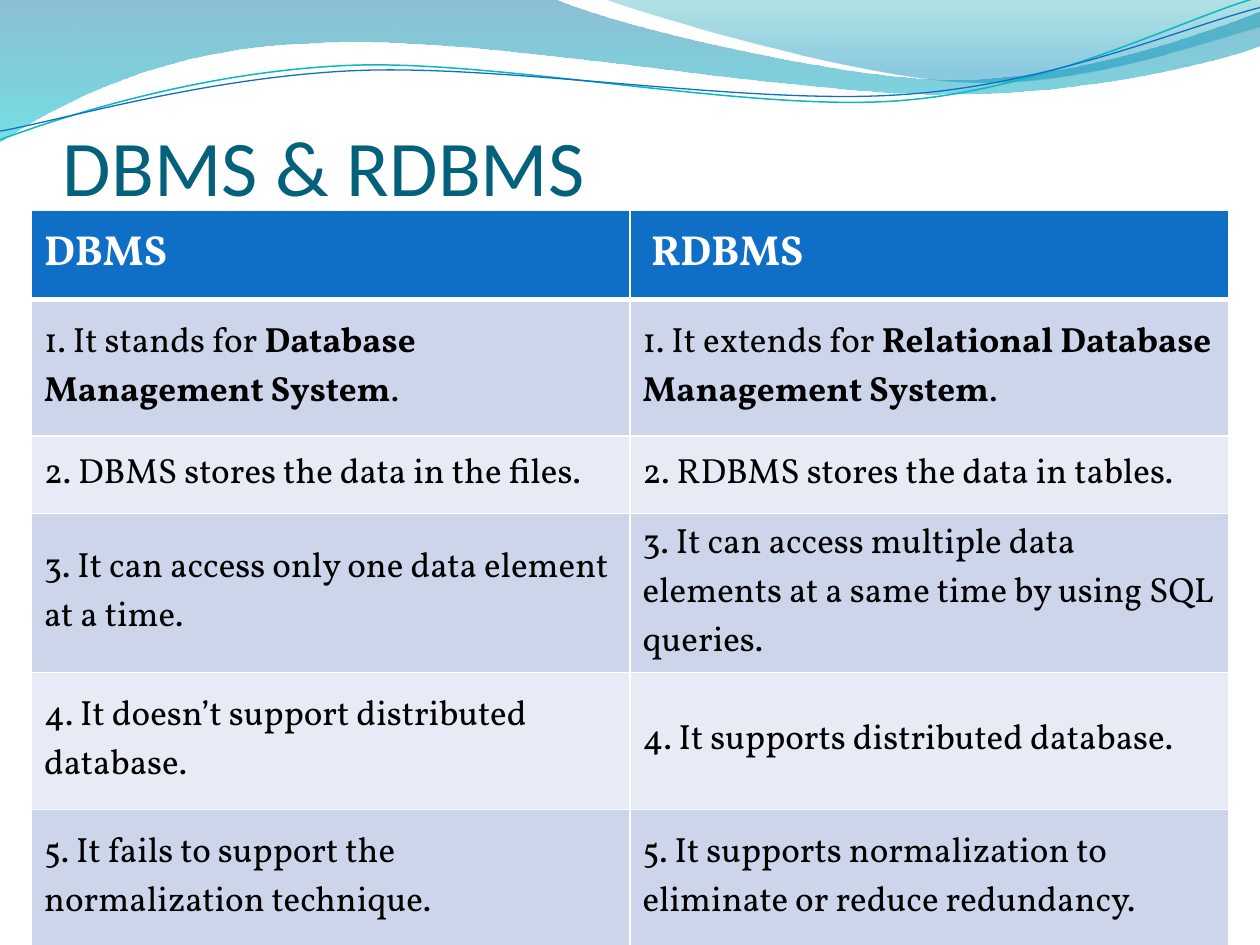
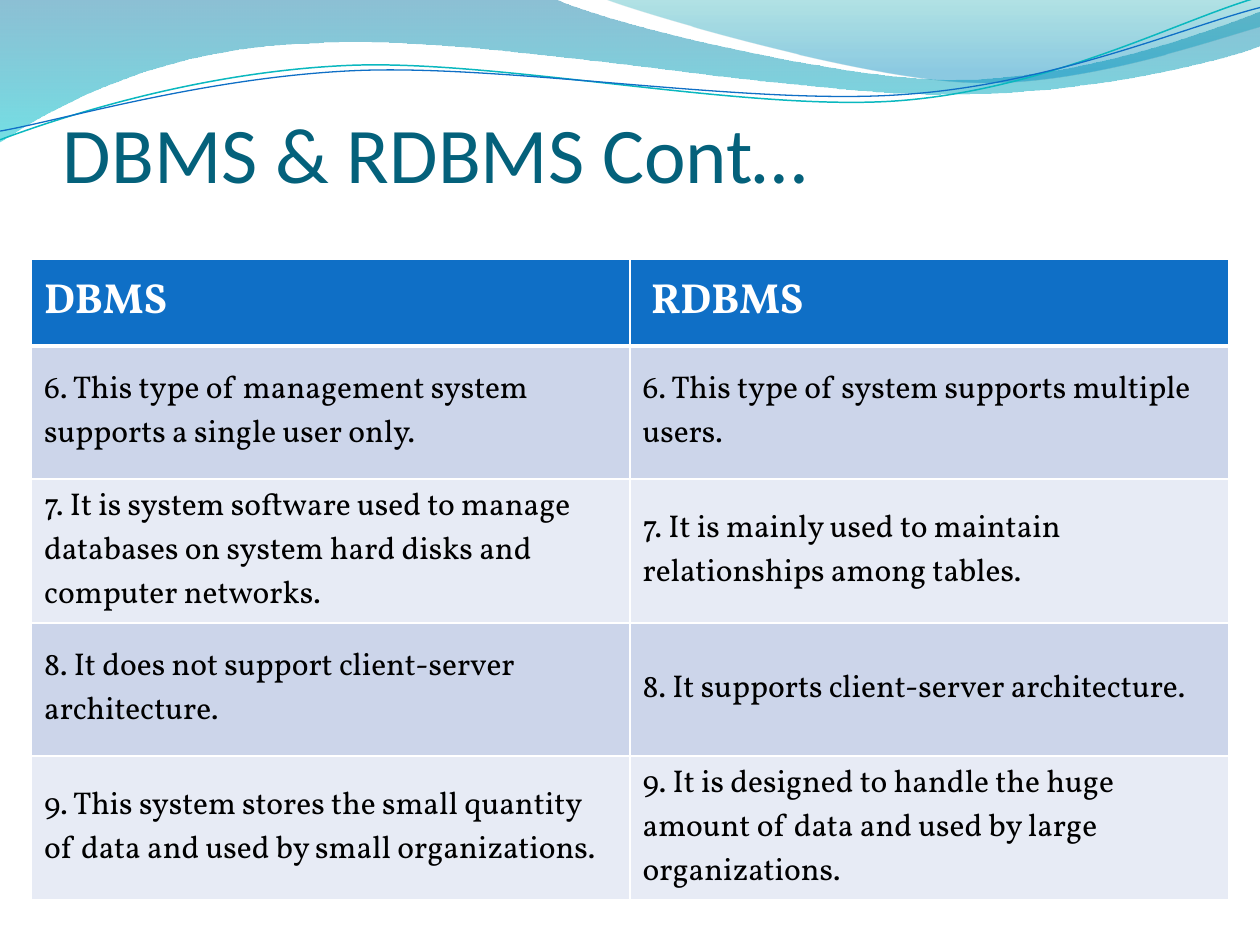
from lxml import etree
from pptx import Presentation
from pptx.dml.color import RGBColor
from pptx.enum.text import MSO_ANCHOR
from pptx.oxml.ns import qn
from pptx.util import Pt

MIDDLE, BOTTOM = MSO_ANCHOR.MIDDLE, MSO_ANCHOR.BOTTOM
COLORS = {
    "title": "04617B", "header": "0F6FC6", "odd": "CCD5EA", "even": "E7EBF5",
    "white": "FFFFFF", "text": "000000", "teal": "0AB8BF", "blue": "0F6FC6",
    "wave_top": "0074A1", "wave_end": "00C6CF",
    "crest_top": "00A1A9", "crest_end": "008BBF",
}

# Outlines in points: a pair is a straight step, six numbers a Bezier step.
# Bands have gradient stops (colour, position, opacity); strands a colour and width.
WAVES = [
    {"start": (0, 0),
     "steps": [(316.8, -0.7),
               (342.7, 12.2, 478.1, 45.4, 545.8, 45.4),
               (614.2, 45.4, 689.8, 18.7, 720, 6.5),
               (720.7, 25.9),
               (707.8, 31.7, 626.4, 54.7, 537.1, 54),
               (447.8, 54, 275, 20.2, 185, 24.5),
               (92.9, 25.9, 33.1, 59.8, -0.7, 81.4)],
     "stops": [("wave_top", 0, 45), ("wave_end", 1, 55)]},
    {"start": (344.9, -0.7),
     "steps": [(366.5, 7.9, 491, 44.6, 553.7, 46.8),
               (616.3, 49.7, 691.9, 23, 720, 15.1),
               (720, 0)],
     "stops": [("crest_top", 0, 30), ("crest_end", 0.8, 45)]},
    {"start": (0, 79.9),
     "steps": [(34.6, 67, 113.8, 41, 199.4, 37.4),
               (284.4, 33.8, 427, 64.1, 513.4, 57.6),
               (599.8, 51.1, 675.4, 10.8, 718.6, -1.4)],
     "line": ("teal", 0.85)},
    {"start": (0, 74.9),
     "steps": [(33.8, 69.1, 118.1, 43.9, 203.8, 40.3),
               (290.2, 36.7, 429.8, 60.5, 516.2, 54),
               (601.9, 48.2, 677.5, 15.1, 720, 4.3)],
     "line": ("blue", 0.75)},
]

HEADER = ("DBMS", " RDBMS")
SLIDES = [
    {"title": "DBMS & RDBMS", "title_top": 60, "table_top": 120.2, "size": 20,
     "heights": [51, 78, 44.4, 90.6, 78.4, 78.4],
     "rows": [
         ("1. It stands for **Database Management System**.",
          "1. It extends for **Relational Database Management System**."),
         ("2. DBMS stores the data in the files.",
          "2. RDBMS stores the data in tables."),
         ("3. It can access only one data element at a time.",
          "3. It can access multiple data elements at a same time by using SQL queries."),
         ("4. It doesn’t support distributed database.",
          "4. It supports distributed database."),
         ("5. It fails to support the normalization technique.",
          "5. It supports normalization to eliminate or reduce redundancy."),
     ]},
    {"title": "DBMS & RDBMS Cont…", "title_top": 52.6, "table_top": 148.3, "size": 18,
     "heights": [49.5, 76, 82.3, 76, 82.3],
     "rows": [
         ("6. This type of management system supports a single user only.",
          "6. This type of system supports multiple users."),
         ("7. It is system software used to manage databases on system hard disks "
          "and computer networks.",
          "7. It is mainly used to maintain relationships among tables."),
         ("8. It does not support client-server architecture.",
          "8. It supports client-server architecture."),
         ("9. This system stores the small quantity of data and used by small organizations.",
          "9. It is designed to handle the huge amount of data and used by large "
          "organizations."),
     ]},
]


def write_text(tf, text, font="Vollkorn", size=20, color="text", bold=False):
    """Fill the first paragraph; parts between ** marks become bold."""
    p = tf.paragraphs[0]
    for i, part in enumerate(text.split("**")):
        r = p.add_run()
        r.text = part
        r.font.name = font
        r.font.size = Pt(size)
        r.font.bold = bold or i % 2 == 1
        r.font.color.rgb = RGBColor.from_string(COLORS[color])


def add_outline(slide, start, steps, close):
    """Draw a freeform, merging the three points of each Bezier step into one curve."""
    points = [(Pt(x), Pt(y)) for step in steps for x, y in zip(step[::2], step[1::2])]
    builder = slide.shapes.build_freeform(Pt(start[0]), Pt(start[1]))
    builder.add_line_segments(points, close=close)
    sp = builder.convert_to_shape()
    segments = iter(list(sp._element.spPr.iter(qn("a:lnTo"))))
    for step in steps:
        first = next(segments)
        if len(step) == 6:
            first.tag = qn("a:cubicBezTo")
            for _ in range(2):
                extra = next(segments)
                first.append(extra[0])
                extra.getparent().remove(extra)
    sp.shadow.inherit = False
    return sp


prs = Presentation()
prs.slide_width, prs.slide_height = Pt(720), Pt(540)

for content in SLIDES:
    slide = prs.slides.add_slide(prs.slide_layouts[6])

    # Waves along the top edge
    for wave in WAVES:
        sp = add_outline(slide, wave["start"], wave["steps"], close="stops" in wave)
        if "stops" in wave:
            sp.line.fill.background()
            sp.fill.gradient()
            sp.fill.gradient_angle = 270
            for stop, (color, position, _) in zip(sp.fill.gradient_stops, wave["stops"]):
                stop.color.rgb = RGBColor.from_string(COLORS[color])
                stop.position = position
            colors = sp._element.spPr.iter(qn("a:srgbClr"))
            for clr, (_, _, opacity) in zip(colors, wave["stops"]):
                etree.SubElement(clr, qn("a:alpha"), val=str(opacity * 1000))
        else:
            color, width = wave["line"]
            sp.fill.background()
            sp.line.color.rgb = RGBColor.from_string(COLORS[color])
            sp.line.width = Pt(width)

    # Title
    sp = slide.shapes.add_textbox(Pt(36), Pt(content["title_top"]), Pt(648), Pt(61.2))
    tf = sp.text_frame
    tf.word_wrap = True
    tf.vertical_anchor = BOTTOM
    tf.margin_left = tf.margin_right = tf.margin_bottom = 0
    tf.margin_top = Pt(3.6)
    write_text(tf, content["title"], font="Calibri", size=45, color="title")

    # Comparison table
    rows = [HEADER] + content["rows"]
    heights = content["heights"]
    table = slide.shapes.add_table(len(rows), 2, Pt(18), Pt(content["table_top"]),
                                   Pt(684), Pt(sum(heights))).table
    for r_idx, texts in enumerate(rows):
        table.rows[r_idx].height = Pt(heights[r_idx])
        for c_idx, text in enumerate(texts):
            cell = table.cell(r_idx, c_idx)
            cell.vertical_anchor = MIDDLE
            if r_idx == 0:
                fill = "header"
                write_text(cell.text_frame, text, size=24, color="white", bold=True)
            else:
                fill = "odd" if r_idx % 2 else "even"
                write_text(cell.text_frame, text, size=content["size"])
            for side in "LRTB":
                under_header = (r_idx, side) in ((0, "B"), (1, "T"))
                ln = etree.SubElement(cell._tc.get_or_add_tcPr(), qn(f"a:ln{side}"),
                                      w=str(Pt(3 if under_header else 1)))
                solid = etree.SubElement(ln, qn("a:solidFill"))
                etree.SubElement(solid, qn("a:srgbClr"), val=COLORS["white"])
            cell.fill.solid()
            cell.fill.fore_color.rgb = RGBColor.from_string(COLORS[fill])

prs.save("out.pptx")
